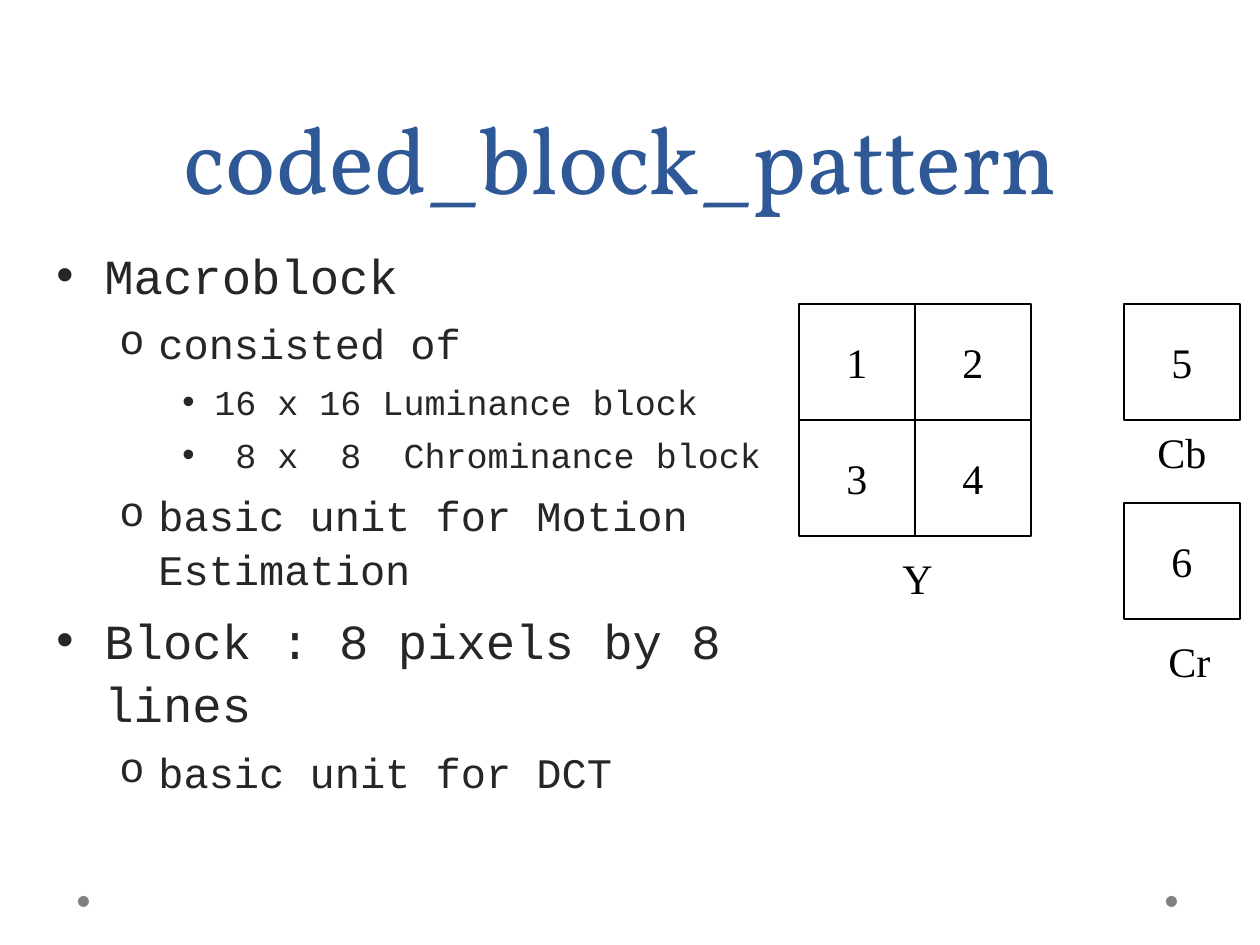
from dataclasses import dataclass

from lxml.etree import SubElement
from pptx import Presentation
from pptx.dml.color import RGBColor
from pptx.enum.shapes import MSO_SHAPE as Shape
from pptx.enum.text import MSO_ANCHOR as Anchor, PP_ALIGN as Align
from pptx.oxml.ns import qn
from pptx.util import Pt

PX = 914400 / 126


@dataclass(frozen=True)
class Theme:
    """Colours, fonts and type sizes of the slide."""
    title: str = "2F5897"
    body: str = "262626"
    ink: str = "000000"
    paper: str = "FFFFFF"
    dot: str = "7F7F7F"
    title_font: str = "Vollkorn"
    body_font: str = "Courier New"
    label_font: str = "Times New Roman"
    title_size: int = 54
    label_size: int = 24


@dataclass(frozen=True)
class Level:
    """Look of one outline level, with indents in px."""
    size: int
    before: int
    indent: int
    hanging: int
    bullet: str
    bullet_font: str


THEME = Theme()
LEVELS = (
    Level(28, 7, 48, 48, "•", "Arial"),
    Level(24, 6, 102, 39, "o", "Courier New"),
    Level(20, 5, 158, 32, "•", "Arial"),
)
OUTLINE = (
    (0, "Macroblock"),
    (1, "consisted of"),
    (2, "16 x 16 Luminance block"),
    (2, " 8 x  8  Chrominance block"),
    (1, "basic unit for Motion Estimation"),
    (0, "Block : 8 pixels by 8 lines"),
    (1, "basic unit for DCT"),
)
BLOCK = 116
LUMA_LEFT, CHROMA_LEFT, BLOCKS_TOP, CR_TOP = 799, 1124, 304, 503


def emu(*lengths):
    """Turn px lengths into EMU."""
    return [round(length * PX) for length in lengths]


def rgb(colour):
    """Turn a hex string into a colour."""
    return RGBColor.from_string(colour)


def add_run(paragraph, text, font, size, colour):
    """Add one styled run to a paragraph."""
    run = paragraph.add_run()
    run.text = text
    run.font.name = font
    run.font.size = Pt(size)
    run.font.color.rgb = rgb(colour)


def add_preset(slide, kind, box, fill, line=None):
    """Add a flat preset shape."""
    shape = slide.shapes.add_shape(kind, *emu(*box))
    shape.shadow.inherit = False
    shape.fill.solid()
    shape.fill.fore_color.rgb = rgb(fill)
    if line:
        shape.line.color.rgb = rgb(line)
        shape.line.width = Pt(0.75)
    else:
        shape.line.fill.background()
    return shape


def add_label(frame, text):
    """Write a centred diagram label into a text frame."""
    frame.word_wrap = False
    frame.vertical_anchor = Anchor.MIDDLE
    paragraph = frame.paragraphs[0]
    paragraph.alignment = Align.CENTER
    add_run(paragraph, text, THEME.label_font, THEME.label_size, THEME.ink)


def add_block(slide, left, top, number):
    """Add one numbered pixel block."""
    shape = add_preset(slide, Shape.RECTANGLE, (left, top, BLOCK, BLOCK),
                       THEME.paper, THEME.ink)
    add_label(shape.text_frame, str(number))


def add_caption(slide, box, text):
    """Add the name of a colour component."""
    add_label(slide.shapes.add_textbox(*emu(*box)).text_frame, text)


def add_title(slide, text):
    """Add the centred slide title."""
    frame = slide.shapes.add_textbox(*emu(63, 0, 1134, 220)).text_frame
    frame.word_wrap = True
    frame.vertical_anchor = Anchor.BOTTOM
    paragraph = frame.paragraphs[0]
    paragraph.alignment = Align.CENTER
    paragraph.line_spacing = Pt(58)
    add_run(paragraph, text, THEME.title_font, THEME.title_size, THEME.title)


def set_bullet(paragraph, level):
    """Give a paragraph its hanging indent and bullet."""
    properties = paragraph._p.get_or_add_pPr()
    indent, hanging = emu(level.indent, level.hanging)
    properties.set("marL", str(indent))
    properties.set("indent", str(-hanging))
    colour = SubElement(properties, qn("a:buClr"))
    SubElement(colour, qn("a:srgbClr"), val=THEME.body)
    SubElement(properties, qn("a:buFont"), typeface=level.bullet_font)
    SubElement(properties, qn("a:buChar"), char=level.bullet)


def add_outline(slide, box, items):
    """Add the bulleted outline."""
    frame = slide.shapes.add_textbox(*emu(*box)).text_frame
    frame.word_wrap = True
    frame.margin_top = 0
    for index, (depth, text) in enumerate(items):
        paragraph = frame.add_paragraph() if index else frame.paragraphs[0]
        level = LEVELS[depth]
        paragraph.level = depth
        paragraph.line_spacing = 1.07
        paragraph.space_before = Pt(level.before)
        set_bullet(paragraph, level)
        add_run(paragraph, text, THEME.body_font, level.size, THEME.body)


def main():
    """Build the slide and save it."""
    presentation = Presentation()
    presentation.slide_width, presentation.slide_height = emu(1260, 945)
    slide = presentation.slides.add_slide(presentation.slide_layouts[6])
    for left in (1166, 78):
        add_preset(slide, Shape.OVAL, (left, 896, 11, 11), THEME.dot)
    add_title(slide, "coded_block_pattern ")
    add_outline(slide, (44, 241, 746, 533), OUTLINE)
    for index in range(4):
        row, column = divmod(index, 2)
        add_block(slide, LUMA_LEFT + column * BLOCK,
                  BLOCKS_TOP + row * BLOCK, index + 1)
    add_block(slide, CHROMA_LEFT, BLOCKS_TOP, 5)
    add_block(slide, CHROMA_LEFT, CR_TOP, 6)
    add_caption(slide, (890, 546, 55, 63), "Y")
    add_caption(slide, (1145, 420, 74, 63), "Cb")
    add_caption(slide, (1156, 629, 67, 63), "Cr")
    presentation.save("out.pptx")


if __name__ == "__main__":
    main()
